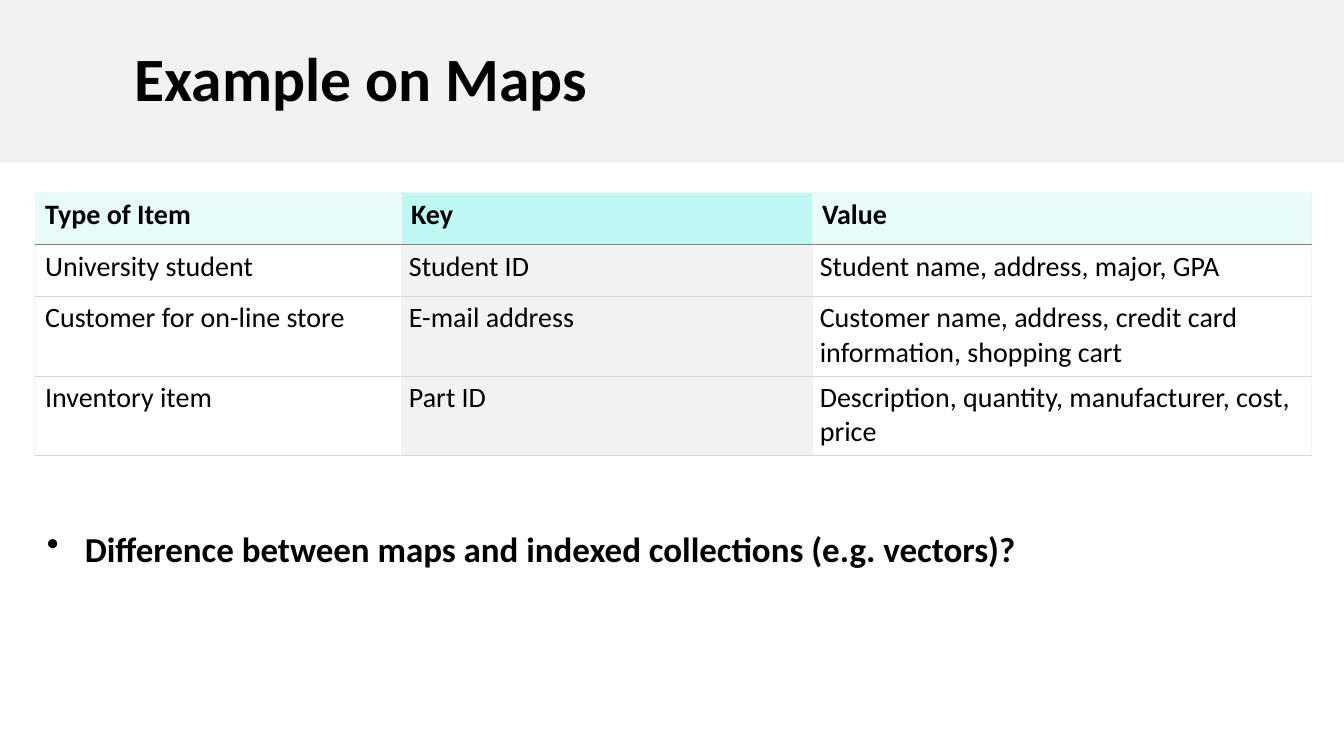
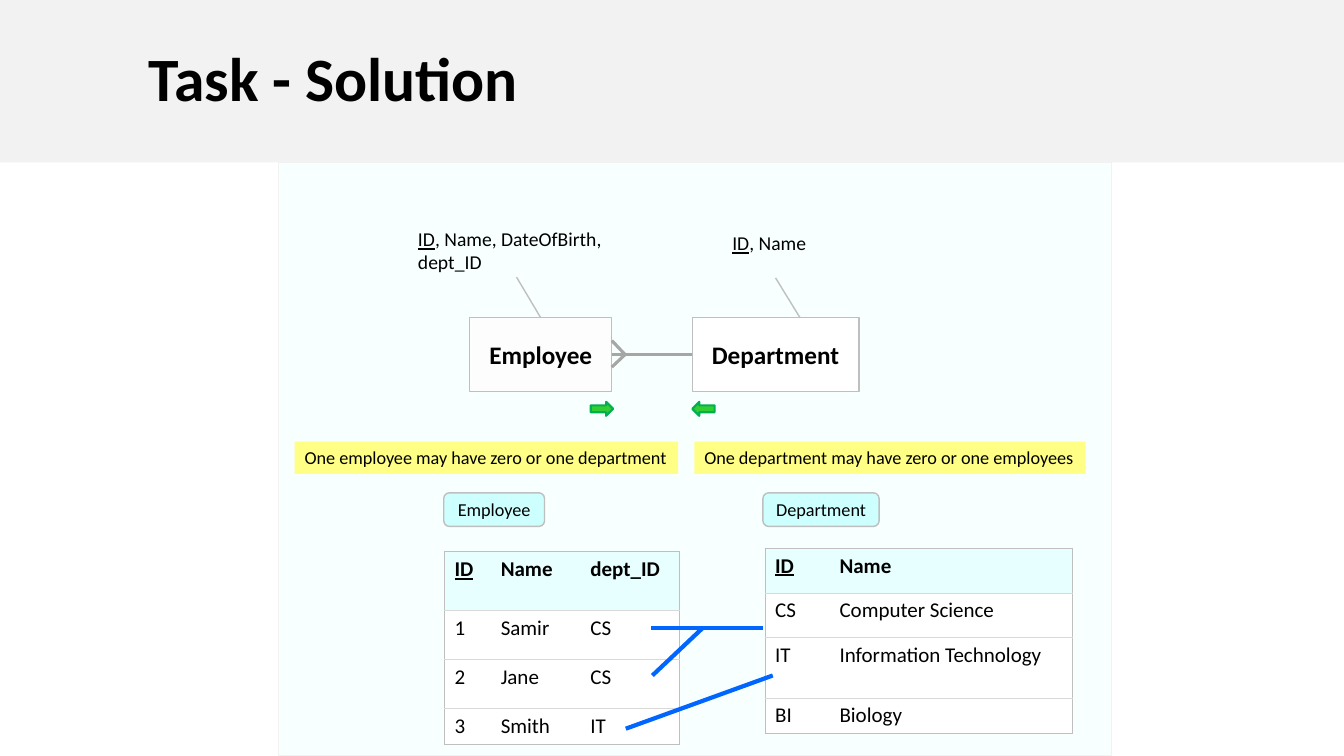
import pptx
import pptx.util
import pptx.dml.color
import pptx.enum.shapes
import pptx.enum.text
import pptx.oxml
import pptx.oxml.ns

Pt = pptx.util.Pt
SHAPE = pptx.enum.shapes.MSO_SHAPE
ALIGN = pptx.enum.text.PP_ALIGN
ANCHOR = pptx.enum.text.MSO_ANCHOR
FONT = "Calibri"
TITLE_ONLY = 5
SLIDE_WIDTH, SLIDE_HEIGHT, BAND_HEIGHT = 960, 540, 116
COLORS = {
    "text": "000000", "white": "FFFFFF", "band": "F2F2F2",
    "header": "E8FCFA", "key_header": "BFF7F2", "header_rule": "7F7F7F",
    "row_rule": "D9D9D9", "outline": "BFBFBF", "relation": "A6A6A6",
    "panel": "F7FFFF", "schema_header": "E7FFFF", "tag": "CDFFFF",
    "employee": "FDFDFD", "note": "FFFF85", "link": "0066FF",
    "arrow": "33CC33", "arrow_line": "00B050",
}


def rgb(name):
    return pptx.dml.color.RGBColor.from_string(COLORS[name])


def points(*lengths):
    return [Pt(length) for length in lengths]


def add_xml(parent, tag, **attributes):
    element = pptx.oxml.parse_xml(f"<a:{tag} {pptx.oxml.ns.nsdecls('a')}/>")
    for name, value in attributes.items():
        element.set(name, str(value))
    parent.append(element)
    return element


def set_text(frame, text, size, bold=False, key="", align=ALIGN.LEFT):
    """Write one paragraph, led by the underlined key if there is one."""
    paragraph = frame.paragraphs[0]
    paragraph.alignment = align
    if key:
        run = paragraph.add_run()
        run.text = key
        run.font.underline = True
    if text:
        paragraph.add_run().text = text
    font = paragraph.font
    font.name, font.size, font.bold = FONT, Pt(size), bold
    font.color.rgb = rgb("text")
    return paragraph


def add_block(slide, box, fill, line=None, width=1, kind=SHAPE.RECTANGLE):
    block = slide.shapes.add_shape(kind, *points(*box))
    block.shadow.inherit = False
    block.fill.solid()
    block.fill.fore_color.rgb = rgb(fill)
    if line:
        block.line.color.rgb = rgb(line)
        block.line.width = Pt(width)
    else:
        block.line.fill.background()
    return block


def add_label(slide, box, text, size, fill, bold=False, kind=SHAPE.RECTANGLE):
    label = add_block(slide, box, fill, "outline", kind=kind)
    label.text_frame.vertical_anchor = ANCHOR.MIDDLE
    set_text(label.text_frame, text, size, bold, align=ALIGN.CENTER)
    return label


def add_text(slide, box, text, size, bold=False, key=""):
    frame = slide.shapes.add_textbox(*points(*box)).text_frame
    frame.word_wrap = True
    return set_text(frame, text, size, bold, key)


def add_line(slide, start, end, color, width):
    line = slide.shapes.add_connector(
        pptx.enum.shapes.MSO_CONNECTOR.STRAIGHT, *points(*start, *end))
    line.line.color.rgb = rgb(color)
    line.line.width = Pt(width)
    add_xml(line._element.spPr, "effectLst")
    return line


def style_cell(cell, fill, borders):
    """Set the fill and the borders, given as side: (colour, width) or None."""
    properties = cell._tc.get_or_add_tcPr()
    for side in "LRTB":
        border = borders[side]
        if border:
            color, width = border
            edge = add_xml(properties, "ln" + side, w=Pt(width))
            add_xml(add_xml(edge, "solidFill"), "srgbClr", val=COLORS[color])
        else:
            add_xml(add_xml(properties, "ln" + side, w=0), "noFill")
    cell.fill.solid()
    cell.fill.fore_color.rgb = rgb(fill)


def add_grid(slide, left, top, widths, heights, records, size, style):
    """Add a table; style(row, column) gives the fill and borders of a cell."""
    table = slide.shapes.add_table(
        len(heights), len(widths),
        *points(left, top, sum(widths), sum(heights))).table
    table.first_row = table.horz_banding = False
    for column, width in zip(table.columns, widths):
        column.width = Pt(width)
    for r, record in enumerate(records):
        table.rows[r].height = Pt(heights[r])
        for c, text in enumerate(record):
            cell = table.cell(r, c)
            is_key = text == "ID"
            set_text(cell.text_frame, "" if is_key else text, size,
                     bold=r == 0, key=text if is_key else "")
            style_cell(cell, *style(r, c))
    return table


def add_titled_slide(deck, title, indent):
    slide = deck.slides.add_slide(deck.slide_layouts[TITLE_ONLY])
    band = slide.shapes.title
    band.left, band.top, band.width, band.height = points(
        0, 0, SLIDE_WIDTH, BAND_HEIGHT)
    band.fill.solid()
    band.fill.fore_color.rgb = rgb("band")
    frame = band.text_frame
    frame.auto_size = pptx.enum.text.MSO_AUTO_SIZE.NONE
    frame.vertical_anchor = ANCHOR.MIDDLE
    frame.margin_left = Pt(indent)
    set_text(frame, title, 44, bold=True).line_spacing = 0.9
    return slide


def add_maps_table(slide, left, top):
    records = [
        ("Type of Item", "Key", "Value"),
        ("University student", "Student ID",
         "Student name, address, major, GPA"),
        ("Customer for on-line store", "E-mail address",
         "Customer name, address, credit card information, shopping cart"),
        ("Inventory item", "Part ID",
         "Description, quantity, manufacturer, cost, price"),
    ]

    def style(row, column):
        fills = (("header", "key_header") if row == 0 else ("white", "band"))
        rules = ["band", "header_rule"] + ["row_rule"] * 3
        colors = dict(L="band", R="band", T=rules[row], B=rules[row + 1])
        borders = {side: (color, 0.45) for side, color in colors.items()}
        return fills[column == 1], borders

    table = add_grid(slide, left, top, (261.5, 293.5, 357),
                     (37, 37, 57, 57), records, 20, style)
    for row in range(1, len(records)):
        for column in (1, 2):
            cell = table.cell(row, column)
            cell.margin_left = cell.margin_right = Pt(5.6)


def add_question(slide, box):
    paragraph = add_text(
        slide, box,
        "Difference between maps and indexed collections (e.g. vectors)?",
        25, bold=True)
    properties = paragraph._p.get_or_add_pPr()
    properties.set("marL", str(Pt(27)))
    properties.set("indent", str(Pt(-27)))
    bullet = add_xml(properties, "buChar", char="•")
    properties.insert(0, bullet)


def add_entity_diagram(slide, left, top):
    """Draw both entities, their attributes and the relation between them."""
    box_top, box_height = top + 111, 52.5
    middle = box_top + box_height / 2
    employee = add_label(slide, (left + 136.5, box_top, 101.5, box_height),
                         "Employee", 18, "employee", bold=True)
    department = add_label(slide, (left + 295.5, box_top, 119, box_height),
                           "Department", 18, "white", bold=True)
    add_text(slide, (left + 92.5, top + 42.5, 193.5, 41),
             ", Name, DateOfBirth, dept_ID", 14, key="ID")
    add_text(slide, (left + 317, top + 45.5, 193.5, 24.5),
             ", Name", 14, key="ID")

    employee_leader = add_line(slide, (left + 170, top + 82),
                               (left + 187, box_top), "outline", 1)
    employee_leader.end_connect(employee, 0)
    add_line(slide, (left + 355, top + 82.5), (left + 372.5, box_top),
             "outline", 1)

    relation = add_line(slide, (left + 238, middle), (left + 295.5, middle),
                        "relation", 2.25)
    relation.begin_connect(employee, 3)
    relation.end_connect(department, 1)
    for offset in (-10, 9):
        add_line(slide, (left + 238, middle + offset), (left + 247.5, middle),
                 "relation", 2.25)

    for x, kind in ((223, SHAPE.RIGHT_ARROW), (295.5, SHAPE.LEFT_ARROW)):
        add_block(slide, (left + x, top + 171, 16, 10), "arrow",
                  "arrow_line", 1.5, kind)
    for x, width, text in (
            (11.5, 274, "One employee may have zero or one department"),
            (297, 279.5, "One department may have zero or one employees")):
        note = add_block(slide, (left + x, top + 199.5, width, 23), "note")
        note.text_frame.word_wrap = False
        note.text_frame.vertical_anchor = ANCHOR.TOP
        set_text(note.text_frame, text, 13)


def add_schema_table(slide, left, top, widths, heights, records):
    last_row, last_column = len(heights) - 1, len(widths) - 1
    outer, inner = ("outline", 0.75), ("row_rule", 0.45)

    def style(row, column):
        return "white" if row else "schema_header", {
            "L": None if column else outer,
            "R": outer if column == last_column else None,
            "T": inner if row else outer,
            "B": outer if row == last_row else inner,
        }

    add_grid(slide, left, top, widths, heights, records, 15, style)


def add_schemas(slide, left, top):
    """Show the two tables with their name tags and the linked rows."""
    add_schema_table(
        slide, left + 347.5, top + 39.5, (46, 173.5), (32, 32, 43, 25.5),
        [("ID", "Name"), ("CS", "Computer Science"),
         ("IT", "Information Technology"), ("BI", "Biology")])
    add_schema_table(
        slide, left + 118.5, top + 42, (33, 64, 71), (42, 35, 35, 25.5),
        [("ID", "Name", "dept_ID"), ("1", "Samir", "CS"),
         ("2", "Jane", "CS"), ("3", "Smith", "IT")])
    for x, width, name in ((118, 72, "Employee"), (346, 83, "Department")):
        add_label(slide, (left + x, top, width, 24), name, 13, "tag",
                  kind=SHAPE.ROUNDED_RECTANGLE)
    for x1, y1, x2, y2 in ((346, 96.5, 266, 96.5), (303, 96.5, 267, 130.5),
                           (353, 130.5, 248, 168.5)):
        add_line(slide, (left + x1, top + y1), (left + x2, top + y2),
                 "link", 3)


def add_maps_slide(deck):
    slide = add_titled_slide(deck, "Example on Maps", 96)
    add_maps_table(slide, 25, 137.5)
    add_question(slide, (26.5, 373, 767, 37.5))


def add_solution_slide(deck):
    slide = add_titled_slide(deck, "Task - Solution", 106)
    left, top = 199, BAND_HEIGHT
    add_block(slide, (left, top, 595, SLIDE_HEIGHT - top), "panel", "band")
    add_entity_diagram(slide, left, top)
    add_schemas(slide, left, top + 236)


def main():
    deck = pptx.Presentation()
    deck.slide_width, deck.slide_height = points(SLIDE_WIDTH, SLIDE_HEIGHT)
    add_maps_slide(deck)
    add_solution_slide(deck)
    deck.save("out.pptx")


if __name__ == "__main__":
    main()
